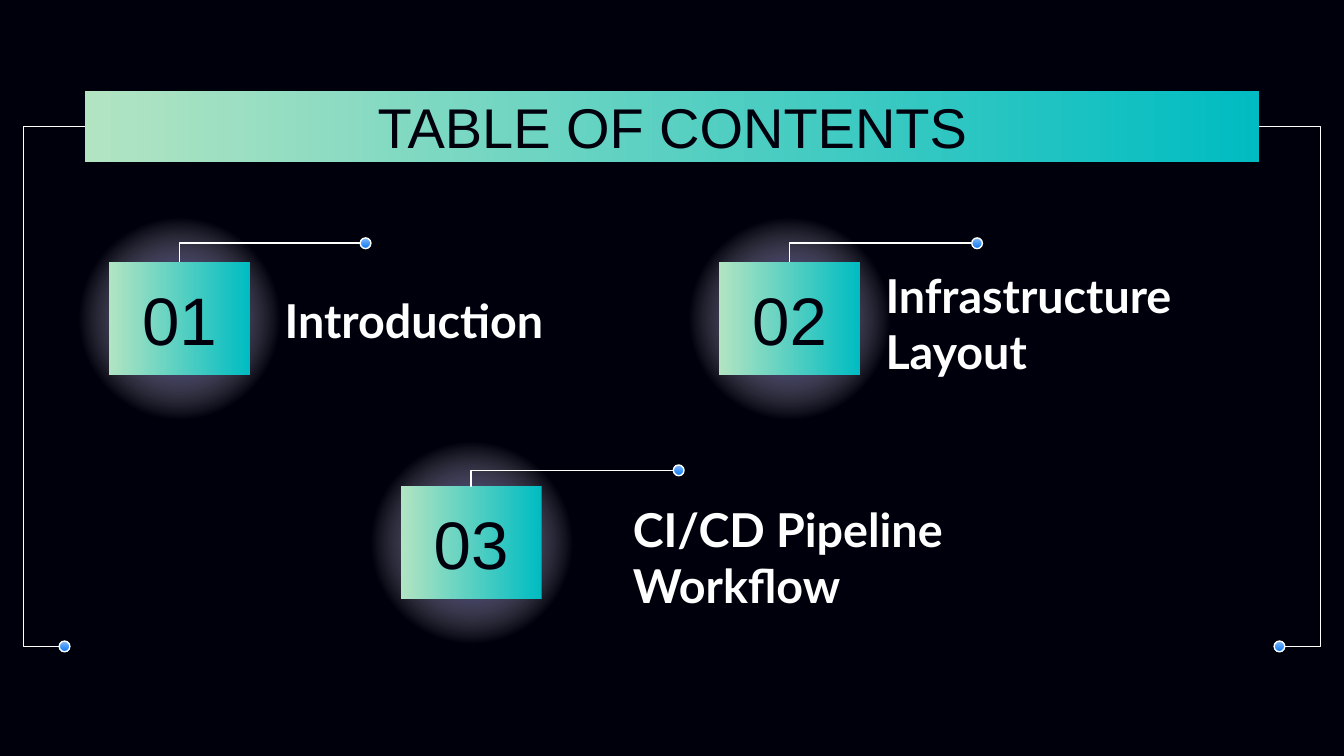
"""Build a dark table of contents slide with three numbered, glowing topics."""
from pptx import Presentation
from pptx.dml.color import RGBColor
from pptx.enum.shapes import MSO_CONNECTOR, MSO_SHAPE
from pptx.enum.text import MSO_ANCHOR, MSO_AUTO_SIZE, PP_ALIGN
from pptx.oxml import parse_xml
from pptx.oxml.ns import nsdecls, qn
from pptx.util import Inches, Pt

RECT, OVAL = MSO_SHAPE.RECTANGLE, MSO_SHAPE.OVAL
ELBOW = MSO_CONNECTOR.ELBOW
TOP, MIDDLE = MSO_ANCHOR.TOP, MSO_ANCHOR.MIDDLE
LEFT, CENTER = PP_ALIGN.LEFT, PP_ALIGN.CENTER
FIXED = MSO_AUTO_SIZE.NONE

NIGHT = RGBColor(0x00, 0x00, 0x0D)
WHITE = RGBColor(0xFF, 0xFF, 0xFF)
TEAL = RGBColor(0x00, 0xBC, 0xC2)
MINT = RGBColor(0xB2, 0xE4, 0xC2)
INDIGO = RGBColor(0x17, 0x0F, 0x8D)
SKY = RGBColor(0x82, 0xBC, 0xFE)
BLUE = RGBColor(0x0C, 0x77, 0xF1)

WIDE = 10
HIGH = WIDE * 9 / 16
TITLE = "TABLE OF CONTENTS"
TOPICS = [
    {"num": "01", "text": "Introduction", "box": (0.81, 1.95),
     "label": (2.02, 2.09), "dot": (2.68, 1.81)},
    {"num": "02", "text": "Infrastructure Layout", "box": (5.35, 1.95),
     "label": (6.49, 2.11), "dot": (7.23, 1.81)},
    {"num": "03", "text": "CI/CD Pipeline Workflow", "box": (2.98, 3.62),
     "label": (4.61, 3.85), "dot": (5.01, 3.5)},
]
BOX, NUM, LABEL = (1.05, 0.84), (0.88, 0.58), (2.69, 0.58)
GLOW, DOT = (1.77, 1.71), 0.08
BANNER, HEAD = (0.63, 0.68, 8.74, 0.53), (0.79, 0.59, 8.43, 0.63)
FRAME = {"dot": 0.44, "join": 0.63, "low": 4.81, "high": 0.94, "bend": -139300}

BAND = {"stops": [(0, TEAL, 100), (100, MINT, 100)], "angle": 180}
BEAD = {"stops": [(0, SKY, 100), (100, BLUE, 100)], "angle": 90}
HALO = {"stops": [(0, INDIGO, 100), (61, WHITE, 0), (100, WHITE, 0)],
        "angle": None}
BIG = {"name": "Arial", "size": Pt(36), "bold": False}
BOLD = {"name": "Lato", "size": Pt(25), "bold": True}
HEADING = {"name": "Arial", "size": Pt(30), "bold": False}


def inches(nums):
    return [Inches(num) for num in nums]


def center(spot, size):
    """Return the place of a part centred on the number box at spot."""
    return tuple(a + (b - c) / 2 for a, b, c in zip(spot, BOX, size)) + size


def shade(shape, stops, angle):
    marks = "".join(
        f'<a:gs pos="{pos * 1000}"><a:srgbClr val="{color}">'
        f'<a:alpha val="{alpha * 1000}"/></a:srgbClr></a:gs>'
        for pos, color, alpha in stops)
    if angle is None:
        way = ('<a:path path="circle"><a:fillToRect l="50000" t="50000" '
               'r="50000" b="50000"/></a:path>')
    else:
        way = f'<a:lin ang="{angle * 60000}" scaled="0"/>'
    fill = parse_xml(f'<a:gradFill {nsdecls("a")} rotWithShape="1">'
                     f'<a:gsLst>{marks}</a:gsLst>{way}</a:gradFill>')
    shape._element.spPr.find(qn("a:prstGeom")).addnext(fill)


def add_form(slide, kind, at, tint):
    shape = slide.shapes.add_shape(kind, *inches(at))
    shape.shadow.inherit = False
    shape.line.fill.background()
    shade(shape, **tint)
    return shape


def put_text(shape, text, style, color, align=CENTER, anchor=MIDDLE):
    frame = shape.text_frame
    edge = Inches(0.1)
    look = {"word_wrap": True, "auto_size": FIXED, "vertical_anchor": anchor,
            "margin_left": edge, "margin_right": edge,
            "margin_top": edge, "margin_bottom": edge}
    for key, value in look.items():
        setattr(frame, key, value)
    para = frame.paragraphs[0]
    para.alignment = align
    run = para.add_run()
    run.text = text
    for key, value in style.items():
        setattr(run.font, key, value)
    run.font.color.rgb = color


def add_text(slide, at, *words):
    put_text(slide.shapes.add_textbox(*inches(at)), *words)


def add_dot(slide, left, mid):
    dot = add_form(slide, OVAL, (left, mid - DOT / 2, DOT, DOT), BEAD)
    dot.line.color.rgb = WHITE
    dot.line.width = Pt(0.75)


def add_bend(slide, start, end, bend=None):
    wire = slide.shapes.add_connector(ELBOW, *inches(start + end))
    wire.line.color.rgb = WHITE
    wire.line.width = Pt(0.75)
    props = wire._element.spPr
    props.append(parse_xml(f'<a:effectLst {nsdecls("a")}/>'))
    geom = props.find(qn("a:prstGeom"))
    if bend is None:
        geom.set("prst", "bentConnector2")
    else:
        geom.find(qn("a:avLst")).append(parse_xml(
            f'<a:gd {nsdecls("a")} name="adj1" fmla="val {bend}"/>'))


def add_topic(slide, topic):
    left, top = topic["box"]
    add_form(slide, RECT, topic["box"] + BOX, BAND)
    add_text(slide, center(topic["box"], NUM), topic["num"], BIG, NIGHT)
    add_text(slide, topic["label"] + LABEL, topic["text"], BOLD, WHITE, LEFT)
    add_dot(slide, *topic["dot"])
    add_bend(slide, topic["dot"], (left + BOX[0] / 2, top))


def add_frame(slide):
    low, high = FRAME["low"], FRAME["high"]
    near, join = FRAME["dot"], FRAME["join"]
    for side in (near, WIDE - near - DOT):
        add_dot(slide, side, low)
    for start, end in ((near, join), (WIDE - near, WIDE - join)):
        add_bend(slide, (start, low), (end, high), FRAME["bend"])


def main():
    deck = Presentation()
    deck.slide_width, deck.slide_height = inches((WIDE, HIGH))
    slide = deck.slides.add_slide(deck.slide_layouts[5])
    back = slide.background.fill
    back.solid()
    back.fore_color.rgb = NIGHT
    for topic in TOPICS:
        add_form(slide, OVAL, center(topic["box"], GLOW), HALO)
    add_form(slide, RECT, BANNER, BAND)
    for topic in TOPICS:
        add_topic(slide, topic)
    add_frame(slide)
    title = slide.shapes.title
    for key, value in zip(("left", "top", "width", "height"), inches(HEAD)):
        setattr(title, key, value)
    put_text(title, TITLE, HEADING, NIGHT, anchor=TOP)
    slide.shapes._spTree.append(title._element)
    deck.save("out.pptx")


if __name__ == "__main__":
    main()
